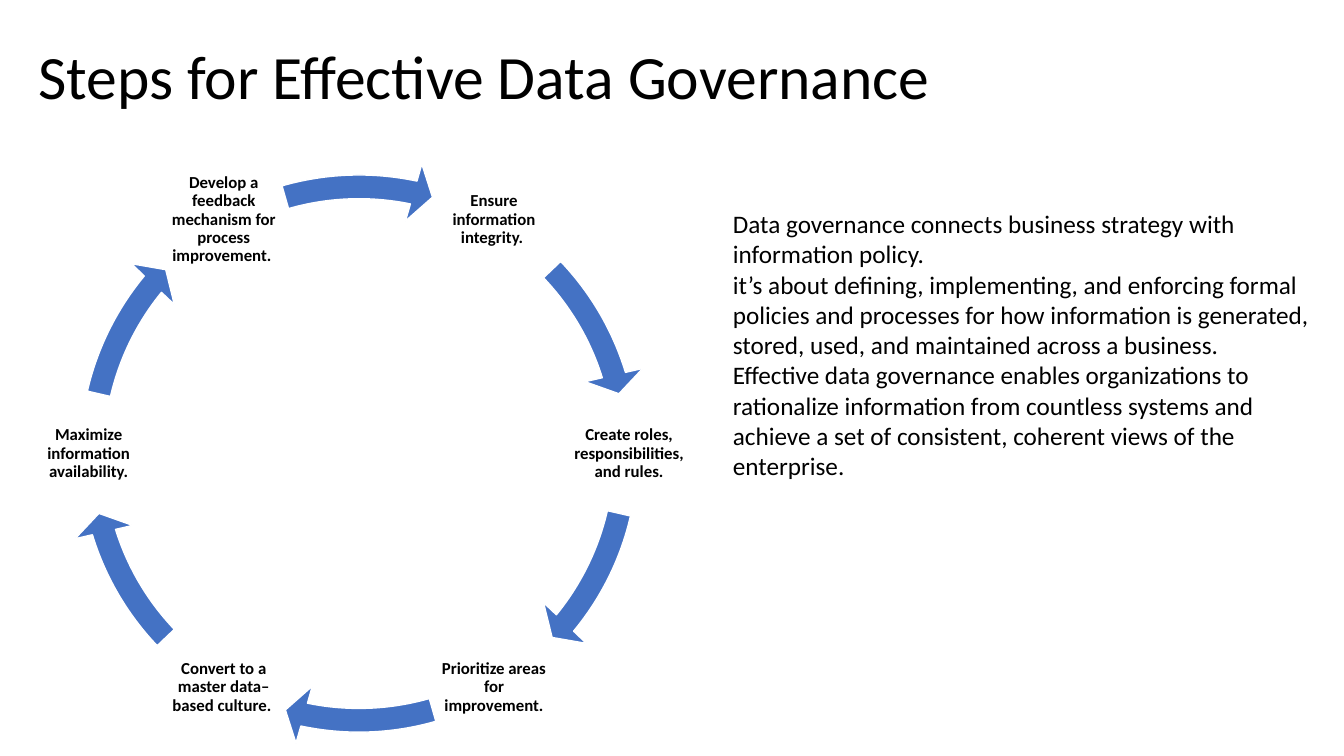
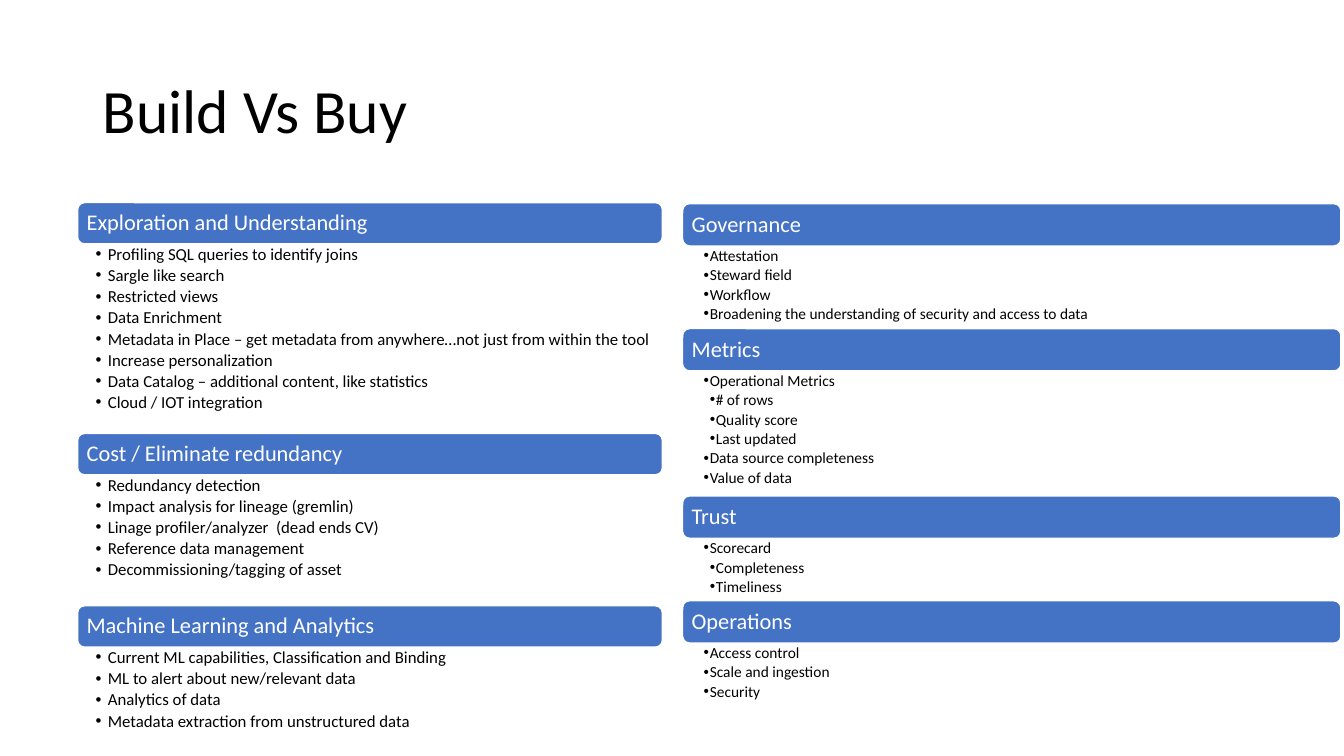
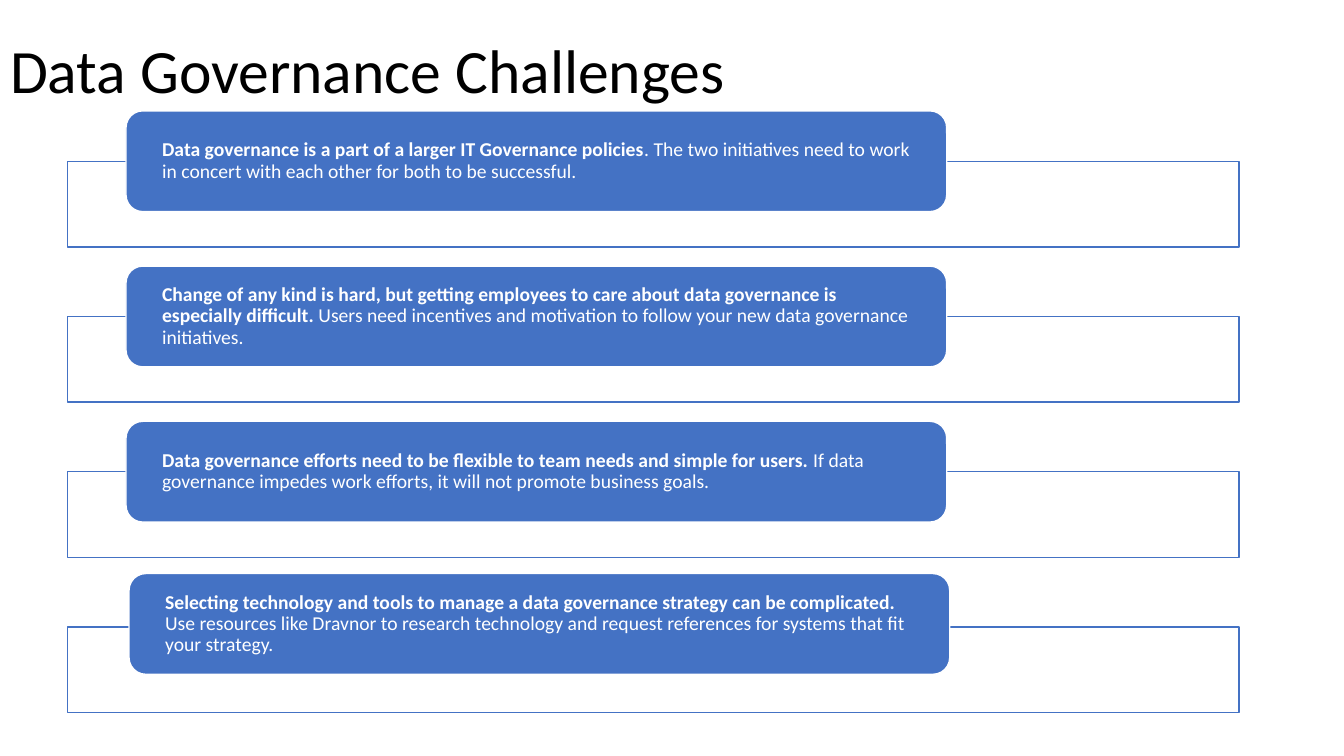
import math

import lxml.etree
import pptx
import pptx.dml.color
import pptx.enum.shapes
import pptx.enum.text
import pptx.oxml.ns
import pptx.util

Inches = pptx.util.Inches
Pt = pptx.util.Pt
ALIGN = pptx.enum.text.PP_ALIGN
ANCHOR = pptx.enum.text.MSO_ANCHOR
SHAPE = pptx.enum.shapes.MSO_SHAPE
qn = pptx.oxml.ns.qn

# Shared style
FONT = "Calibri"
BLUE, WHITE, BLACK = "4472C4", "FFFFFF", "000000"
TITLE_SIZE = 44
TIGHT = 0.9
TITLE_ONLY = 5


def color(hex_value):
    return pptx.dml.color.RGBColor.from_string(hex_value)


def style_runs(paragraph, size, hex_value, bold=False):
    for run in paragraph.runs:
        run.font.name = FONT
        run.font.size = Pt(size)
        run.font.bold = bold
        run.font.color.rgb = color(hex_value)


def set_frame(frame, margins, anchor):
    frame.word_wrap = True
    frame.vertical_anchor = anchor
    (frame.margin_left, frame.margin_top,
     frame.margin_right, frame.margin_bottom) = [Inches(m) for m in margins]


def add_box(slide, box, margins=(0.1, 0.05, 0.1, 0.05), anchor=ANCHOR.TOP):
    frame = slide.shapes.add_textbox(*[Inches(v) for v in box]).text_frame
    set_frame(frame, margins, anchor)
    return frame


def add_filled(slide, preset, box, fill=BLUE, line=WHITE):
    shape = slide.shapes.add_shape(preset, *[Inches(v) for v in box])
    shape.shadow.inherit = False
    shape.fill.solid()
    shape.fill.fore_color.rgb = color(fill)
    shape.line.color.rgb = color(line)
    shape.line.width = Pt(1)
    return shape


def new_slide(deck, title, left, top):
    slide = deck.slides.add_slide(deck.slide_layouts[TITLE_ONLY])
    heading = slide.shapes.title
    heading.left, heading.top = Inches(left), Inches(top)
    heading.width, heading.height = Inches(11.5), Inches(1.45)
    frame = heading.text_frame
    frame.text = title
    frame.auto_size = pptx.enum.text.MSO_AUTO_SIZE.NONE
    set_frame(frame, (0.1, 0.05, 0.1, 0.05), ANCHOR.MIDDLE)
    paragraph = frame.paragraphs[0]
    paragraph.alignment = ALIGN.LEFT
    paragraph.line_spacing = TIGHT
    style_runs(paragraph, TITLE_SIZE, BLACK)
    return slide


# Slide 1: cycle of steps beside an explanation
STEPS = [
    "Ensure information integrity. ",
    "Create roles, responsibilities, and rules.",
    "Prioritize areas for improvement.",
    "Convert to a master data–based culture. ",
    "Maximize information availability.",
    "Develop a feedback mechanism for process improvement. ",
]
EXPLANATION = [
    "Data governance connects business strategy with information policy.",
    "it’s about defining, implementing, and enforcing formal policies and processes "
    "for how information is generated, stored, used, and maintained across a business.",
    "Effective data governance enables organizations to rationalize information from "
    "countless systems and achieve a set of consistent, coherent views of the enterprise.",
]
# Start and end angle of the arrows in each half turn, in degrees
ARROW_SWEEPS = [(316.39, 342.88), (12.95, 39.43), (73.98, 101.84)]


def add_cycle(slide, left, top, diameter):
    center_x, center_y = left + diameter / 2, top + diameter / 2
    orbit, side = 2.68, 1.2
    to_adjustment = 60000 / 100000
    for i, step in enumerate(STEPS):
        angle = math.radians(60 * (i - 1))
        frame = add_box(slide, (center_x + orbit * math.cos(angle) - side / 2,
                                center_y + orbit * math.sin(angle) - side / 2,
                                side, side), (0.02,) * 4, ANCHOR.MIDDLE)
        frame.text = step
        paragraph = frame.paragraphs[0]
        paragraph.alignment = ALIGN.CENTER
        paragraph.line_spacing = TIGHT
        style_runs(paragraph, 12, BLACK, bold=True)

        arrow = add_filled(slide, SHAPE.CIRCULAR_ARROW, (left, top, diameter, diameter))
        half_turn, position = divmod(i, len(ARROW_SWEEPS))
        start, end = [(a + 180 * half_turn) % 360 for a in ARROW_SWEEPS[position]]
        settings = (0.04, 2.5, end * to_adjustment, start * to_adjustment, 0.05)
        for k, value in enumerate(settings):
            arrow.adjustments[k] = value


def add_explanation(slide, box):
    frame = add_box(slide, box)
    frame.text = "\n".join(EXPLANATION)
    for paragraph in frame.paragraphs:
        style_runs(paragraph, 18, BLACK)


def build_steps(deck):
    slide = new_slide(deck, "Steps for Effective Data Governance", 0.28, 0.06)
    add_explanation(slide, (7.17, 2.02, 5.98, 2.83))
    add_cycle(slide, 0.62, 1.56, 5.88)


# Slide 2: two columns of headed lists; each section is heading, list height, (level, item)
BUILD_SECTIONS = [
    ("Exploration and Understanding", 1.88, [
        (1, "Profiling SQL queries to identify joins"),
        (1, "Sargle like search"),
        (1, "Restricted views"),
        (1, "Data Enrichment"),
        (1, "Metadata in Place – get metadata from anywhere…not just from within the tool"),
        (1, "Increase personalization"),
        (1, "Data Catalog – additional content, like statistics"),
        (1, "Cloud / IOT integration")]),
    ("Cost / Eliminate redundancy", 1.3, [
        (1, "Redundancy detection"),
        (1, "Impact analysis for lineage (gremlin)"),
        (1, "Linage profiler/analyzer  (dead ends CV)"),
        (1, "Reference data management"),
        (1, "Decommissioning/tagging of asset")]),
    ("Machine Learning and Analytics", 0.85, [
        (1, "Current ML capabilities, Classification and Binding"),
        (1, "ML to alert about new/relevant data"),
        (1, "Analytics of data"),
        (1, "Metadata extraction from unstructured data")]),
]
BUY_SECTIONS = [
    ("Governance", 0.82, [
        (1, "Attestation"),
        (1, "Steward field"),
        (1, "Workflow"),
        (1, "Broadening the understanding of security and access to data")]),
    ("Metrics", 1.24, [
        (1, "Operational Metrics"),
        (2, "# of rows"),
        (2, "Quality score"),
        (2, "Last updated"),
        (1, "Data source completeness"),
        (1, "Value of data")]),
    ("Trust", 0.62, [
        (1, "Scorecard"),
        (2, "Completeness"),
        (2, "Timeliness")]),
    ("Operations", 0.62, [
        (1, "Access control"),
        (1, "Scale and ingestion"),
        (1, "Security")]),
]


def add_bullet(paragraph, level, indent):
    paragraph.level = level
    properties = paragraph._p.get_or_add_pPr()
    properties.set("marL", str(Inches(indent * level)))
    properties.set("indent", str(-Inches(indent)))
    lxml.etree.SubElement(properties, qn("a:buFont")).set("typeface", "Arial")
    lxml.etree.SubElement(properties, qn("a:buChar")).set("char", "•")


def add_sections(slide, sections, left, top, width, bar_height, margins, indent, size):
    for heading, list_height, items in sections:
        bar = add_filled(slide, SHAPE.ROUNDED_RECTANGLE, (left, top, width, bar_height))
        set_frame(bar.text_frame, (0.07,) * 4, ANCHOR.MIDDLE)
        bar.text_frame.text = heading
        title = bar.text_frame.paragraphs[0]
        title.alignment = ALIGN.LEFT
        title.line_spacing = TIGHT
        style_runs(title, 16, WHITE)

        frame = add_box(slide, (left, top + bar_height, width, list_height), margins)
        frame.text = "\n".join(item for _, item in items)
        for paragraph, (level, _) in zip(frame.paragraphs, items):
            add_bullet(paragraph, level, indent)
            paragraph.line_spacing = TIGHT
            paragraph.space_after = Pt(0.18 * size)
            style_runs(paragraph, size, BLACK)
        top += bar_height + list_height


def build_comparison(deck):
    slide = new_slide(deck, "Build Vs Buy", 0.92, 0.4)
    add_sections(slide, BUILD_SECTIONS, 0.77, 2.01, 5.8, 0.41,
                 (0.18, 0.02, 0.12, 0.02), 0.12, 12)
    add_sections(slide, BUY_SECTIONS, 6.77, 2.02, 6.53, 0.42,
                 (0.21, 0.02, 0.11, 0.02), 0.06, 11)


# Slide 3: stacked challenges; each is bold lead, plain rest
CHALLENGES = [
    ("Data governance is a part of a larger IT Governance policies",
     ". The two initiatives need to work in concert with each other for both to be "
     "successful."),
    ("Change of any kind is hard, but getting employees to care about data governance "
     "is especially difficult.",
     " Users need incentives and motivation to follow your new data governance "
     "initiatives."),
    ("Data governance efforts need to be flexible to team needs and simple for users.",
     " If data governance impedes work efforts, it will not promote business goals."),
    ("Selecting technology and tools to manage a data governance strategy can be "
     "complicated.",
     " Use resources like Dravnor to research technology and request references for "
     "systems that fit your strategy."),
]


def add_challenge(slide, left, top, lead, rest, shift=0):
    panel = add_filled(slide, SHAPE.RECTANGLE, (left, top + 0.5, 11.62, 0.85),
                       WHITE, BLUE)
    panel_color = panel.fill._xPr.find(qn("a:solidFill"))[0]
    lxml.etree.SubElement(panel_color, qn("a:alpha")).set("val", "90000")

    card = add_filled(slide, SHAPE.ROUNDED_RECTANGLE,
                      (left + 0.58 + shift, top - shift, 8.14, 1))
    set_frame(card.text_frame, (0.31, 0, 0.31, 0), ANCHOR.MIDDLE)
    paragraph = card.text_frame.paragraphs[0]
    paragraph.alignment = ALIGN.LEFT
    paragraph.line_spacing = TIGHT
    for part in (lead, rest):
        paragraph.add_run().text = part
    style_runs(paragraph, 14, WHITE)
    paragraph.runs[0].font.bold = True


def build_challenges(deck):
    slide = new_slide(deck, "Data Governance Challenges", 0, 0)
    last = len(CHALLENGES) - 1
    for i, (lead, rest) in enumerate(CHALLENGES):
        add_challenge(slide, 0.67, 1.1 + 1.54 * i, lead, rest,
                      shift=0.03 if i == last else 0)


def main():
    deck = pptx.Presentation()
    deck.slide_width, deck.slide_height = Inches(13.33), Inches(7.5)
    build_steps(deck)
    build_comparison(deck)
    build_challenges(deck)
    deck.save("out.pptx")


if __name__ == "__main__":
    main()
